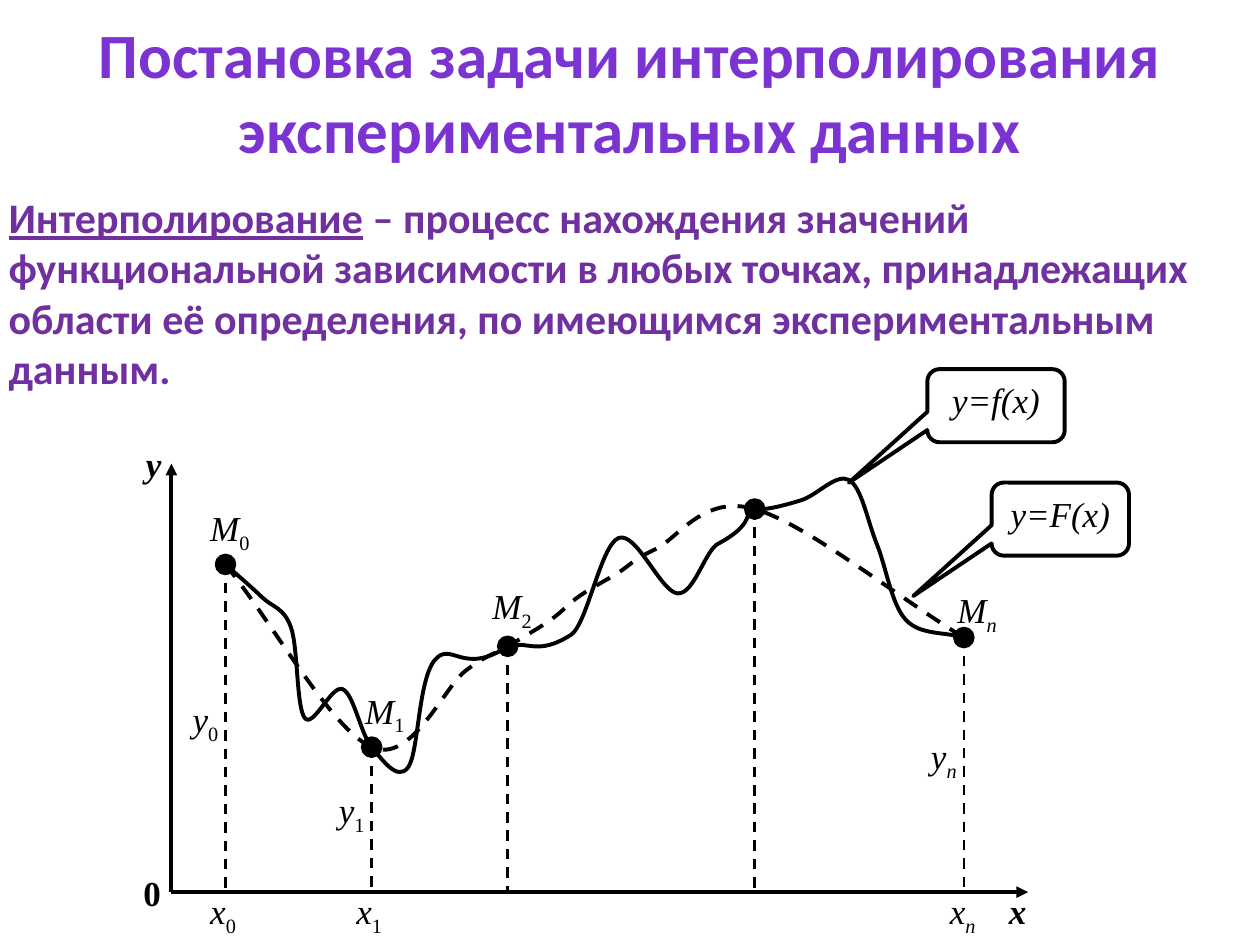
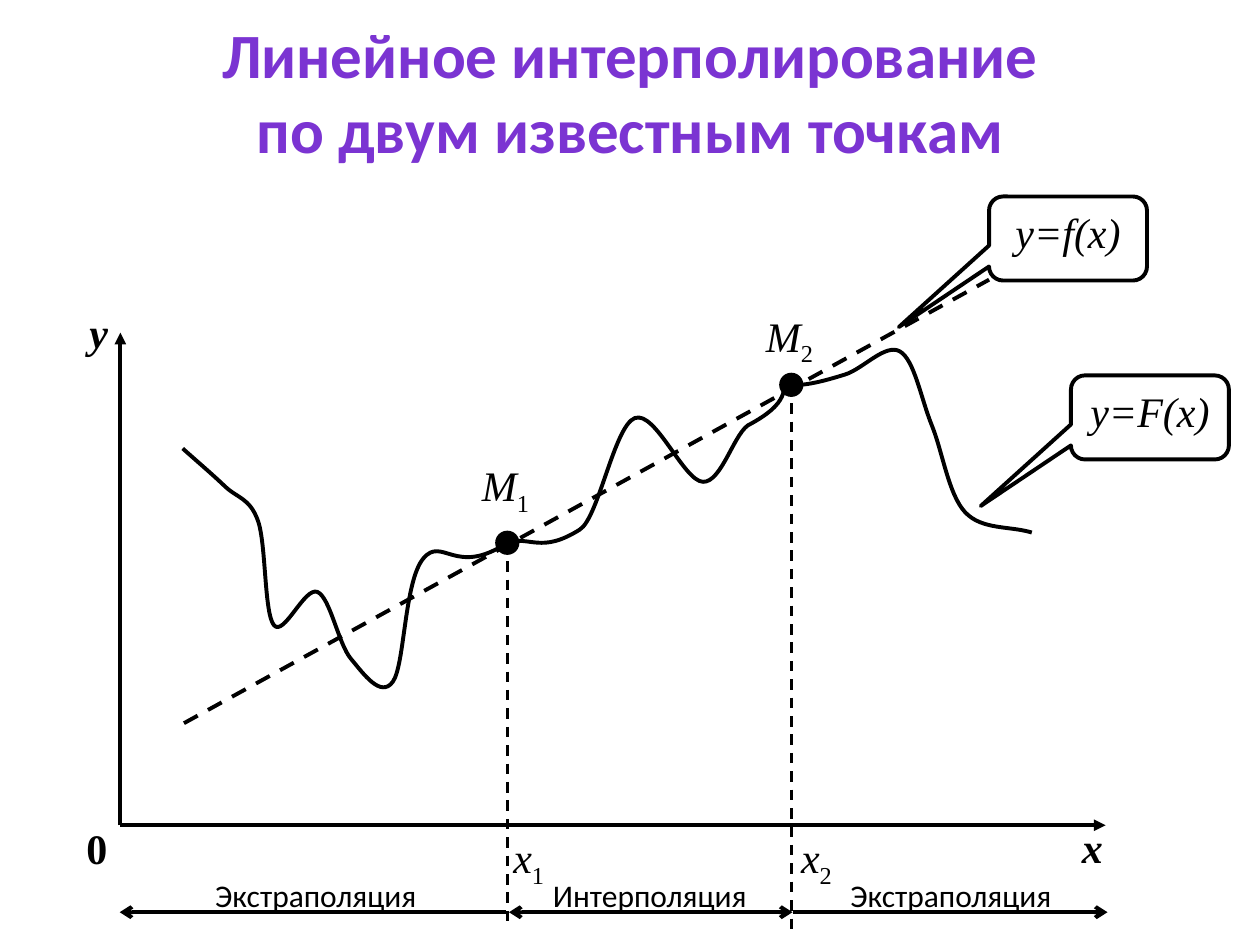
"""Draw one plot of interpolation twice: in full, then zoomed with two known points."""
from lxml import etree
from pptx import Presentation
from pptx.dml.color import RGBColor
from pptx.enum.dml import MSO_LINE
from pptx.enum.shapes import MSO_CONNECTOR, MSO_SHAPE
from pptx.enum.text import MSO_ANCHOR, MSO_AUTO_SIZE, PP_ALIGN
from pptx.oxml.ns import qn
from pptx.util import Inches, Pt

DASH, LINE = MSO_LINE.DASH, MSO_CONNECTOR.STRAIGHT
DOT, CALL = MSO_SHAPE.OVAL, MSO_SHAPE.ROUNDED_RECTANGULAR_CALLOUT
TOP, MID = MSO_ANCHOR.TOP, PP_ALIGN.CENTER
FIT, FIXED = MSO_AUTO_SIZE.SHAPE_TO_FIT_TEXT, MSO_AUTO_SIZE.NONE
SANS, SERIF = "Calibri", "Times New Roman"
BLACK, VIOLET, PURPLE = "000000", "7B34D2", "7030A0"

deck = Presentation()
deck.slide_width, deck.slide_height = Inches(10), Inches(7.5)
COL, ROW = deck.slide_width / 10, deck.slide_height / 7.5


def paint(font, face, size, tint, bold=False, slant=False):
    """Format one run's font."""
    font.name, font.size, font.bold, font.italic = face, Pt(size), bold, slant
    font.color.rgb = RGBColor.from_string(tint)


def stroke(shape, width=2.25, dash=None, head=None, tail=None):
    """Give a shape a plain black line with optional dash and arrowheads."""
    shape.line.color.rgb = RGBColor.from_string(BLACK)
    shape.line.width = Pt(width)
    if dash:
        shape.line.dash_style = dash
    props = shape.element.spPr
    for end, kind in (("a:headEnd", head), ("a:tailEnd", tail)):
        if kind:
            etree.SubElement(props.get_or_add_ln(), qn(end)).set("type", kind)
    etree.SubElement(props, qn("a:effectLst"))


# The plot both slides share
base, side, peak = (1.36, 7.08), (8.16, 7.08), (1.36, 3.68)
first, dip, mid, crest, last = (1.79, 4.48), (2.95, 5.93), (4.03, 5.13), (5.99, 4.04), (7.65, 5.06)
true = [first, (2.08, 4.74), (2.31, 4.98), (2.42, 5.7), (2.72, 5.47), dip, (3.24, 6.09),
        (3.45, 5.24), mid, (4.53, 5.04), (4.91, 4.27), (5.38, 4.71), (5.71, 4.31), crest,
        (6.36, 3.97), (6.74, 3.81), (6.96, 4.32), (7.19, 4.92), last]
guess = [first, dip, (3.7, 5.32), mid, (4.37, 4.92), (4.6, 4.73), (4.9, 4.55), (5.2, 4.36),
         crest, last]
sharp = {mid: ((0.36, -0.24), (0.16, -0.05)), (4.53, 5.04): ((0.27, -0.17), (0.13, -0.08)),
         (5.71, 4.31): ((0.11, -0.04), (0.33, -0.18)), crest: ((0.11, 0.01), (0.1, 0.01))}

# Marks: sign, point, then the nudge of its M label, of its x label, and the row of its y label
plots = [
    dict(title="Постановка задачи интерполирования экспериментальных данных",
         zoom=1, start=first, size=20, foot=7.06, zero=6.87, names=7.01,
         curves=[(guess, DASH, sharp and {}), (true, None, sharp)],
         marks=[("0", first, (-0.22, -0.51), -0.22, 5.49), ("1", dip, (-0.15, -0.51), -0.22, 6.21),
                ("2", mid, (-0.22, -0.54), None, None), ("", crest, None, None, None),
                ("n", last, (-0.15, -0.44), -0.21, 5.78)],
         calls=[("y=F(x)", 7.87, 3.83), ("y=f(x)", 7.36, 2.93)]),
    dict(title="Линейное интерполирование\vпо двум известным точкам",
         zoom=1.15, start=(1.45, 3.56), size=24, foot=7.37, zero=6.48, names=6.55,
         curves=[(true, None, sharp)],
         marks=[("1", mid, (-0.3, -0.71), -0.05, None), ("2", crest, (-0.3, -0.64), -0.02, None)],
         calls=[("y=F(x)", 8.5, 2.98), ("y=f(x)", 7.85, 1.56)]),
]

for plot in plots:
    slide = deck.slides.add_slide(deck.slide_layouts[5])
    shapes, size, zoom = slide.shapes, plot["size"], plot["zoom"]
    left, top = (plot["start"][k] - first[k] * zoom for k in (0, 1))

    title = shapes.title
    title.left, title.top = 0, int(0.07 * ROW)
    title.width, title.height = int(10 * COL), int(1.31 * ROW)
    frame = title.text_frame
    frame.text, frame.vertical_anchor, frame.auto_size = plot["title"], TOP, FIXED
    frame.paragraphs[0].alignment = MID
    for run in frame.paragraphs[0].runs:
        paint(run.font, SANS, 36, VIOLET, True)

    # Each knot's handles follow the chord between its neighbours
    for knots, dash, bends in plot["curves"]:
        track = []
        for k, (x, y) in enumerate(knots):
            prior, after = knots[max(k - 1, 0)], knots[min(k + 1, len(knots) - 1)]
            share = 6 if 0 < k < len(knots) - 1 else 3
            pull = (after[0] - prior[0]) / share, (after[1] - prior[1]) / share
            back, ahead = bends.get((x, y), (pull, pull))
            track += [(x - back[0], y - back[1]), (x, y), (x + ahead[0], y + ahead[1])]
        spots = [((left + x * zoom) * COL, (top + y * zoom) * ROW) for x, y in track[1:-1]]
        pen = shapes.build_freeform(*spots[0])
        pen.add_line_segments(spots[1:], close=False)
        shape = pen.convert_to_shape()
        shape.fill.background()
        stroke(shape, dash=dash)
        trail = shape.element.find(".//" + qn("a:path"))
        steps = trail.findall(qn("a:lnTo"))
        for k in range(0, len(steps), 3):
            bend = etree.SubElement(trail, qn("a:cubicBezTo"))
            for step in steps[k:k + 3]:
                bend.append(step[0])
                trail.remove(step)

    for tip in (side, peak):
        ends = [int((left + x * zoom) * COL) if k == 0 else int((top + y * zoom) * ROW)
                for x, y in (base, tip) for k in (0, 1)]
        stroke(shapes.add_connector(LINE, *ends), tail="triangle")

    tags = [("0", left + 1.04 * zoom, plot["zero"], 0.33),
            ("y", left + 1.06 * zoom, top + 3.46 * zoom, 0.32),
            ("x", left + 7.91 * zoom, top + 7.01 * zoom, 0.33)]
    wide = 0.14 * zoom
    for sign, point, nudge, shift, row in plot["marks"]:
        x, y = left + point[0] * zoom, top + point[1] * zoom
        drop = shapes.add_connector(LINE, int(x * COL), int(y * ROW),
                                    int(x * COL), int(plot["foot"] * ROW))
        stroke(drop, 1.5, DASH)
        dot = shapes.add_shape(DOT, int((x - wide / 2) * COL), int((y - wide / 2) * ROW),
                               int(wide * COL), int(wide * ROW))
        dot.fill.solid()
        dot.fill.fore_color.rgb = RGBColor.from_string(BLACK)
        stroke(dot)
        if nudge:
            tags.append(("M" + sign, x + nudge[0], y + nudge[1], 0.52))
        if shift:
            tags.append(("x" + sign, x + shift, plot["names"], 0.41))
        if row:
            tags.append(("y" + sign, x - 0.36, row, 0.42))

    for tag, x, y, wide in tags:
        box = shapes.add_textbox(int(x * COL), int(y * ROW),
                                 int(wide * zoom * COL), int(0.44 * zoom * ROW))
        box.text_frame.word_wrap, box.text_frame.auto_size = False, FIT
        for k, sign in enumerate(tag):
            run = box.text_frame.paragraphs[0].add_run()
            run.text = sign
            paint(run.font, SERIF, size, BLACK, len(tag) == 1, sign.isalpha())
            if k:
                run.font._element.set("baseline", "-25000")

    for text, x, y in plot["calls"]:
        call = shapes.add_shape(CALL, int(x * COL), int(y * ROW),
                                int(1.09 * zoom * COL), int(0.58 * zoom * ROW))
        for k, value in enumerate((-1.071, 1.054, 0.167)):
            call.adjustments[k] = value
        call.fill.background()
        stroke(call)
        call.text_frame.text, call.text_frame.vertical_anchor = text, TOP
        para = call.text_frame.paragraphs[0]
        para.alignment = MID
        paint(para.runs[0].font, SERIF, size, BLACK, slant=True)

whole, linear = deck.slides
box = whole.shapes.add_textbox(int(-0.03 * COL), int(1.47 * ROW), int(10 * COL), int(1.72 * ROW))
box.text_frame.word_wrap, box.text_frame.auto_size = True, FIT
for text, under in (("Интерполирование", True),
                    (" – процесс нахождения значений функциональной зависимости в любых "
                     "точках, принадлежащих области её определения, по имеющимся "
                     "экспериментальным данным.", False)):
    run = box.text_frame.paragraphs[0].add_run()
    run.text = text
    paint(run.font, SANS, 24, PURPLE, True)
    run.font.underline = under

guide = linear.shapes.add_connector(LINE, int(1.46 * COL), int(5.74 * ROW),
                                    int(7.85 * COL), int(2.22 * ROW))
stroke(guide, dash=DASH)

outer, inner, row = "Экстраполяция", "Интерполяция", int(7.24 * ROW)
for text, start, end, head, tail, x, wide in (
        (outer, 0.95, 4.02, "arrow", None, 1.61, 1.81),
        (inner, 4.04, 6.29, "arrow", "arrow", 4.29, 1.75),
        (outer, 6.29, 8.79, None, "arrow", 6.65, 1.81)):
    span = linear.shapes.add_connector(LINE, int(start * COL), row, int(end * COL), row)
    stroke(span, head=head, tail=tail)
    box = linear.shapes.add_textbox(int(x * COL), int(6.9 * ROW), int(wide * COL), int(0.4 * ROW))
    box.text_frame.word_wrap, box.text_frame.auto_size = False, FIT
    box.text_frame.text = text
    paint(box.text_frame.paragraphs[0].runs[0].font, SANS, 18, BLACK)

deck.save("out.pptx")
